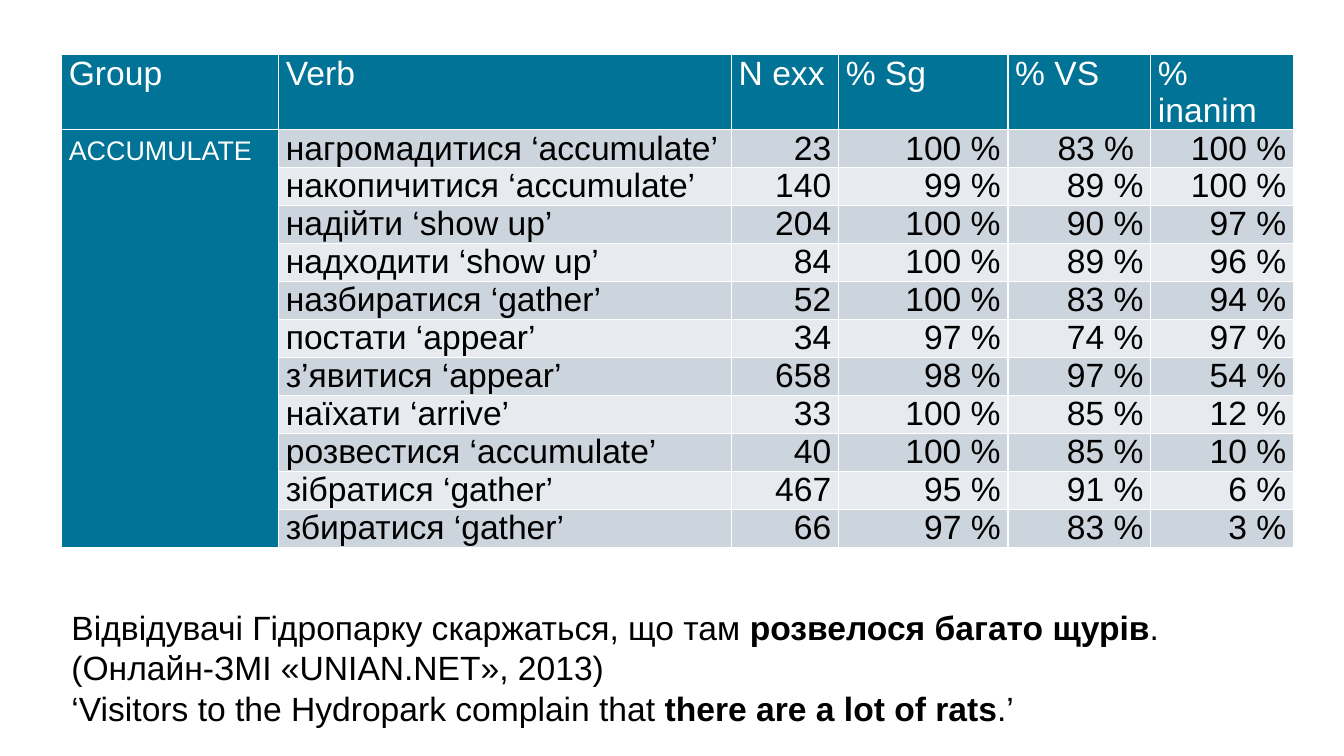
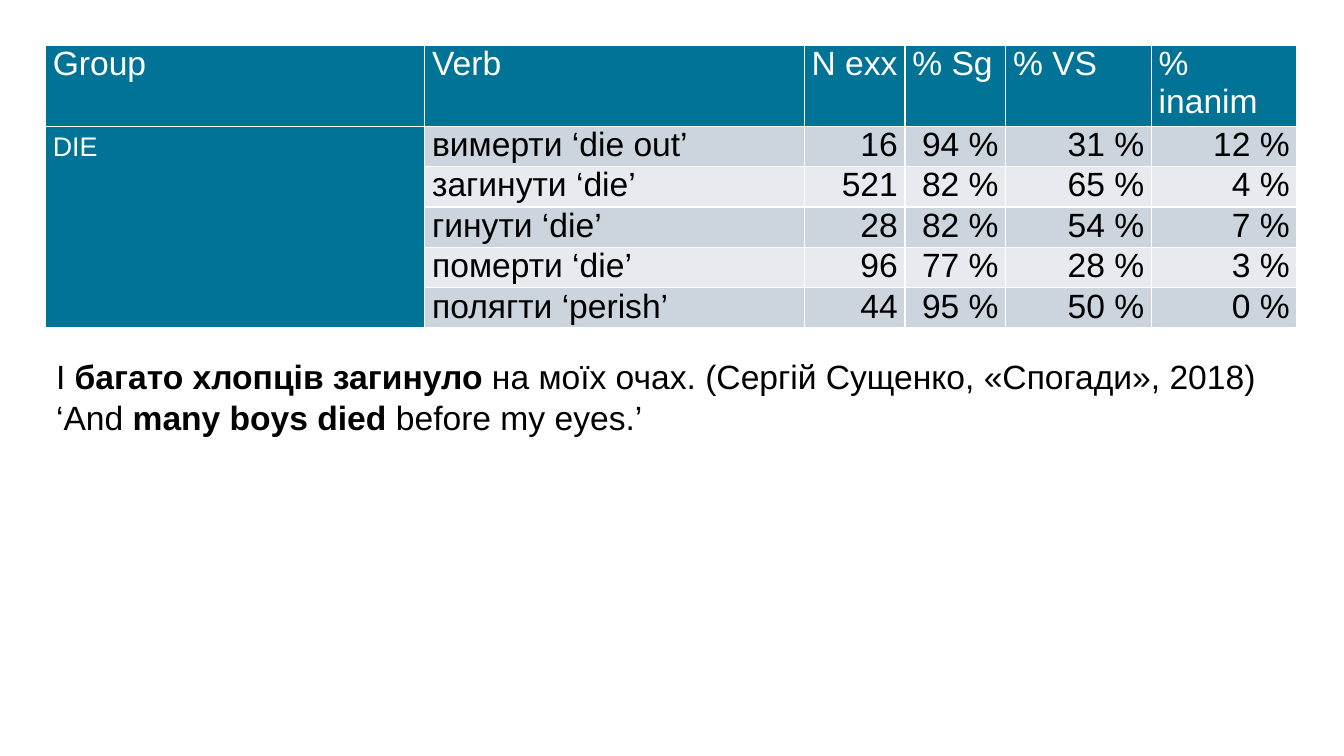
from dataclasses import dataclass

import lxml.etree
import pptx
import pptx.dml.color
import pptx.enum.text
import pptx.oxml.ns
import pptx.util

Pt = pptx.util.Pt
Align = pptx.enum.text.PP_ALIGN


def rgb(value):
    return pptx.dml.color.RGBColor.from_string(value)


@dataclass(frozen=True)
class Theme:
    font: str = "Arial"
    size: float = 24
    teal: str = "007396"
    bands: tuple = ("CCD5DD", "E7EBEF")
    white: str = "FFFFFF"
    black: str = "000000"
    border: float = 1
    cell_margin: float = 5.2
    header_height: float = 53.6


THEME = Theme()
HEADERS = ("Group", "Verb", "N exx", "% Sg", "% VS", "% inanim")

ACCUMULATE_VERBS = (
    ("нагромадитися ‘accumulate’", "23", "100 %", "83 % ", "100 %"),
    ("накопичитися ‘accumulate’", "140", "99 %", "89 %", "100 %"),
    ("надійти ‘show up’", "204", "100 %", "90 %", "97 %"),
    ("надходити ‘show up’", "84", "100 %", "89 %", "96 %"),
    ("назбиратися ‘gather’", "52", "100 %", "83 %", "94 %"),
    ("постати ‘appear’", "34", "97 %", "74 %", "97 %"),
    ("з’явитися ‘appear’", "658", "98 %", "97 %", "54 %"),
    ("наїхати ‘arrive’", "33", "100 %", "85 %", "12 %"),
    ("розвестися ‘accumulate’", "40", "100 %", "85 %", "10 %"),
    ("зібратися ‘gather’", "467", "95 %", "91 %", "6 %"),
    ("збиратися ‘gather’", "66", "97 %", "83 %", "3 %"),
)
DIE_VERBS = (
    ("вимерти ‘die out’", "16", "94 %", "31 %", "12 %"),
    ("загинути ‘die’", "521", "82 %", "65 %", "4 %"),
    ("гинути ‘die’", "28", "82 %", "54 %", "7 %"),
    ("померти ‘die’", "96", "77 %", "28 %", "3 %"),
    ("полягти ‘perish’", "44", "95 %", "50 %", "0 %"),
)

# Each example paragraph is plain text, bold text, plain text
RATS_EXAMPLE = (
    ("Відвідувачі Гідропарку скаржаться, що там ", "розвелося багато щурів",
     ". (Онлайн-ЗМІ «UNIAN.NET», 2013)"),
    ("‘Visitors to the Hydropark complain that ", "there are a lot of rats", ".’"),
)
BOYS_EXAMPLE = (
    ("І ", "багато хлопців загинуло", " на моїх очах. (Сергій Сущенко, «Спогади», 2018)"),
    ("‘And ", "many boys died", " before my eyes.’"),
)


def style_run(run, color, bold=False):
    run.font.name = THEME.font
    run.font.size = Pt(THEME.size)
    run.font.bold = bold
    run.font.color.rgb = rgb(color)


def set_borders(cell):
    """Draw the four cell borders; they must precede the fill in the XML."""
    qn = pptx.oxml.ns.qn
    properties = cell._tc.get_or_add_tcPr()
    for position, side in enumerate(("a:lnL", "a:lnR", "a:lnT", "a:lnB")):
        line = lxml.etree.Element(qn(side), w=str(Pt(THEME.border)))
        fill = lxml.etree.SubElement(line, qn("a:solidFill"))
        lxml.etree.SubElement(fill, qn("a:srgbClr"), val=THEME.white)
        properties.insert(position, line)


def fill_cell(cell, text, fill, color, alignment):
    cell.margin_left = cell.margin_right = Pt(THEME.cell_margin)
    cell.margin_top = cell.margin_bottom = 0
    cell.fill.solid()
    cell.fill.fore_color.rgb = rgb(fill)
    set_borders(cell)
    cell.text_frame.text = text
    paragraph = cell.text_frame.paragraphs[0]
    paragraph.alignment = alignment
    for run in paragraph.runs:
        style_run(run, color)


def add_verb_table(slide, left, top, widths, row_height, group, verbs):
    height = THEME.header_height + row_height * len(verbs)
    table = slide.shapes.add_table(
        len(verbs) + 1, len(HEADERS), Pt(left), Pt(top), Pt(sum(widths)), Pt(height)).table
    table.horz_banding = False
    for column, width in zip(table.columns, widths):
        column.width = Pt(width)

    # Header row and group column are teal, the other rows are banded
    rows = [HEADERS] + [("", *verb) for verb in verbs]
    for row_index, texts in enumerate(rows):
        table.rows[row_index].height = Pt(row_height if row_index else THEME.header_height)
        for column_index, text in enumerate(texts):
            heading = row_index == 0 or column_index == 0
            fill = THEME.teal if heading else THEME.bands[(row_index - 1) % 2]
            color = THEME.white if heading else THEME.black
            alignment = Align.RIGHT if row_index and column_index > 1 else Align.LEFT
            fill_cell(table.cell(row_index, column_index), text, fill, color, alignment)

    # Group name in small capitals, spanning all verbs
    group_cell = table.cell(1, 0)
    group_cell.merge(table.cell(len(verbs), 0))
    group_cell.text_frame.text = group
    run = group_cell.text_frame.paragraphs[0].runs[0]
    style_run(run, THEME.white)
    run.font._element.set("cap", "small")


def add_example(slide, left, top, width, height, example):
    box = slide.shapes.add_textbox(Pt(left), Pt(top), Pt(width), Pt(height))
    frame = box.text_frame
    frame.word_wrap = True
    for index, pieces in enumerate(example):
        paragraph = frame.add_paragraph() if index else frame.paragraphs[0]
        for piece_index, text in enumerate(pieces):
            run = paragraph.add_run()
            run.text = text
            style_run(run, THEME.black, bold=piece_index == 1)


def add_verb_slide(presentation, table, example):
    slide = presentation.slides.add_slide(presentation.slide_layouts[6])
    add_verb_table(slide, **table)
    add_example(slide, **example)


def main():
    presentation = pptx.Presentation()
    presentation.slide_width = Pt(960)
    presentation.slide_height = Pt(540)
    add_verb_slide(
        presentation,
        dict(left=44, top=39, widths=(155, 323.5, 76.5, 121, 102, 102), row_height=27.15,
             group="accumulate", verbs=ACCUMULATE_VERBS),
        dict(left=44, top=430, width=885.5, height=94.5, example=RATS_EXAMPLE))
    add_verb_slide(
        presentation,
        dict(left=32.5, top=32.5, widths=(271, 271, 72, 72, 104, 104), row_height=26.8,
             group="die", verbs=DIE_VERBS),
        dict(left=33, top=251, width=897, height=65.5, example=BOYS_EXAMPLE))
    presentation.save("out.pptx")


if __name__ == "__main__":
    main()
